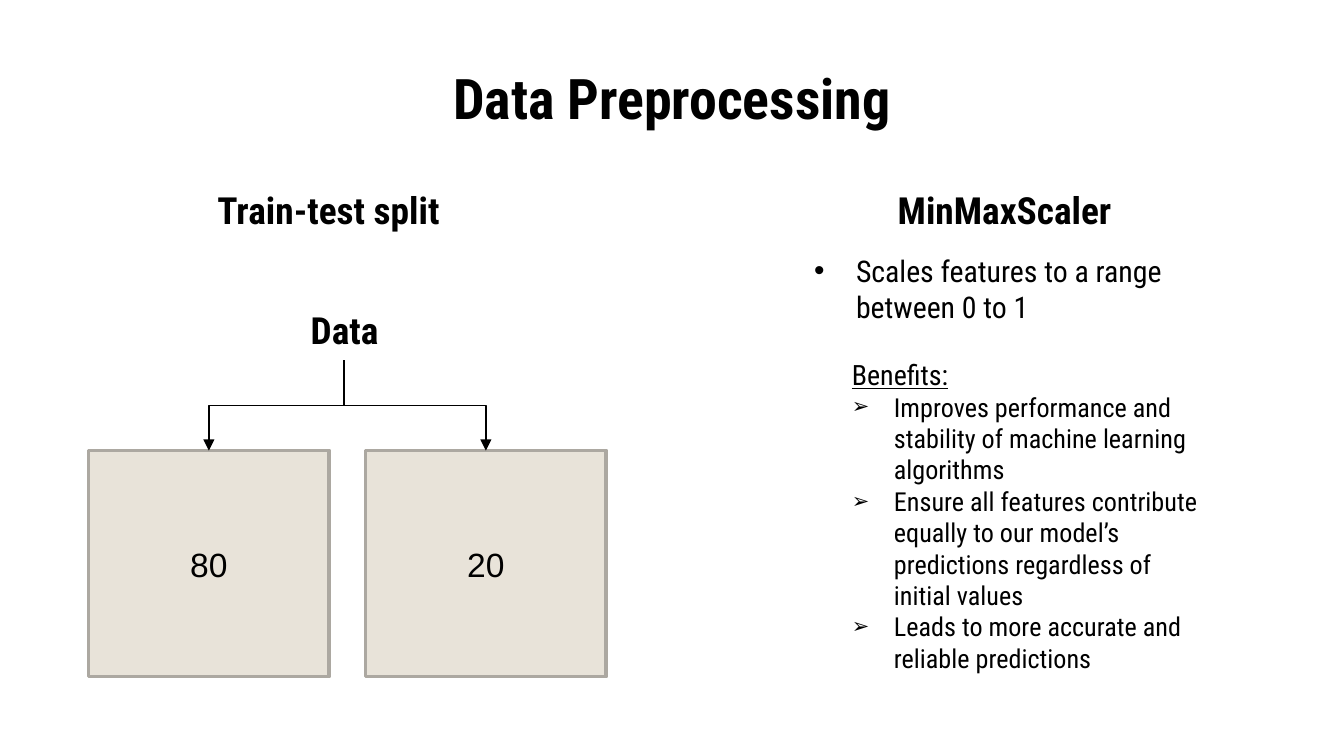
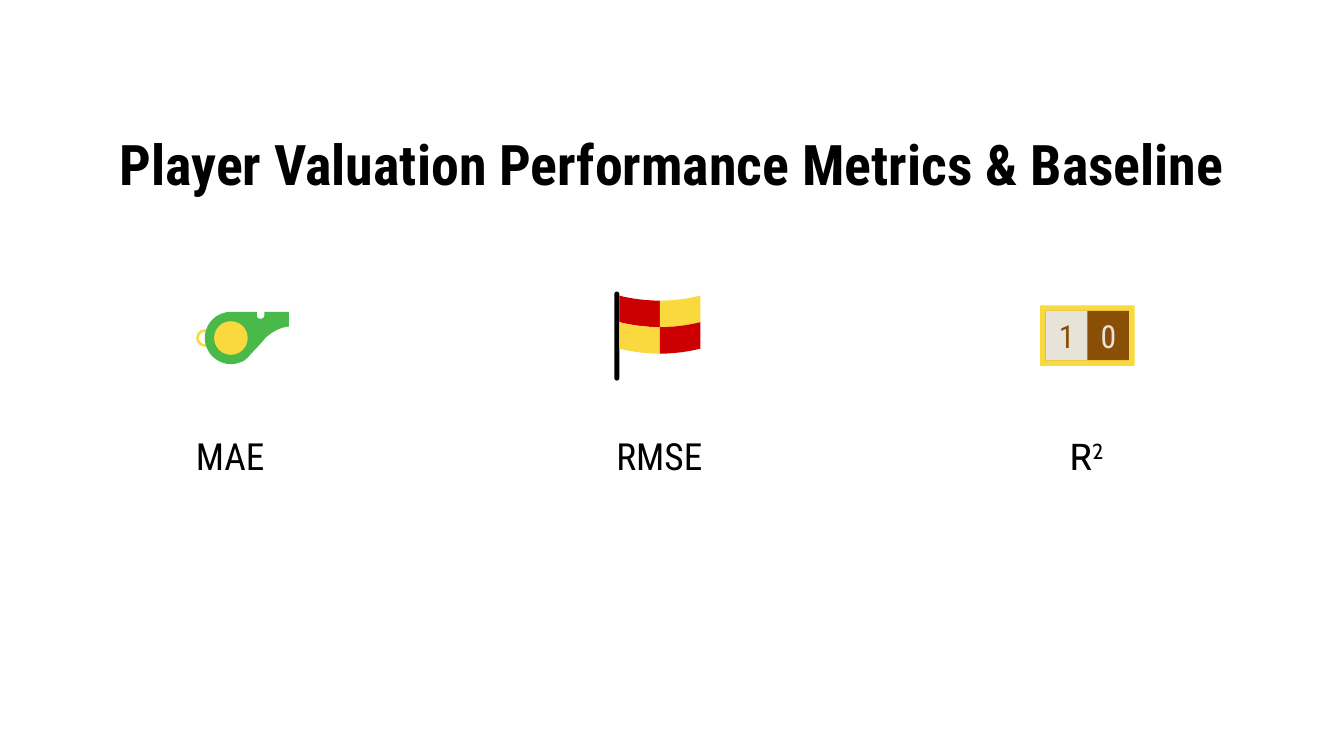
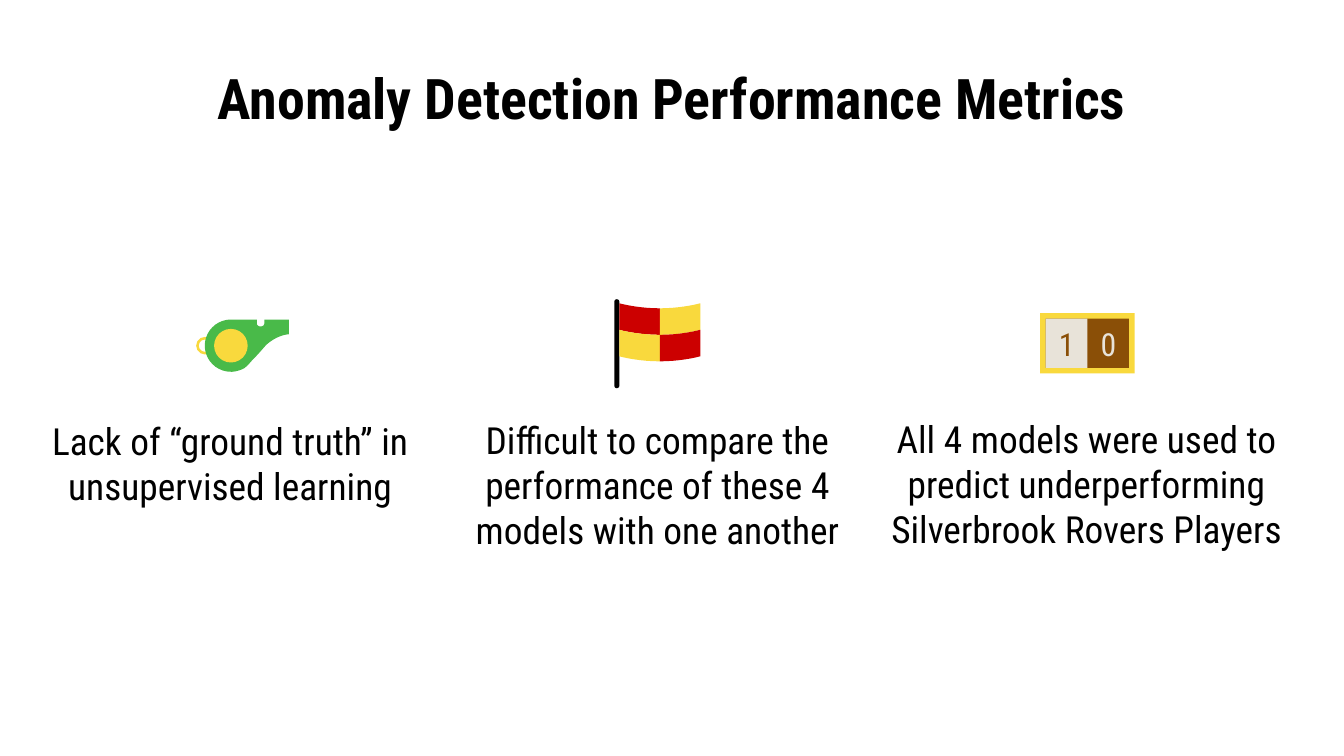
from lxml import etree
from pptx import Presentation
from pptx.dml.color import RGBColor
from pptx.enum.shapes import MSO_CONNECTOR, MSO_SHAPE
from pptx.enum.text import MSO_ANCHOR, PP_ALIGN
from pptx.oxml.ns import qn
from pptx.util import Pt

FONT = "Roboto Condensed"
BLACK, WHITE, RED, GREEN = "000000", "FFFFFF", "CC0000", "49BA49"
YELLOW, BROWN, CREAM, GREY = "F9D93D", "8A4F07", "E8E3D9", "ACA8A1"
INSET = 7.2
INDENT = 22.5

# Preprocessing slide
HEADINGS = [("Train-test split", 67, 96), ("MinMaxScaler", 429.2, 96),
            ("Data", 75.6, 160.5)]
HEADING_SIZE = (218, 32.4)
SPLIT = ["80", "20"]
SPLIT_LEFT, SPLIT_TOP, SPLIT_STEP = 47.4, 241.4, 148.4
SPLIT_SIZE = (129, 121)
FORK = (184.4, 193)
SCALING = [dict(text="Scales features to a range between 0 to 1", size=16, bullet="•")]
BENEFITS = [dict(text="Benefits:", size=15, underline=True)] + [
    dict(text=text, size=14, bullet="➢", bullet_pct=80) for text in (
        "Improves performance and stability of machine learning algorithms",
        "Ensure all features contribute equally to our model’s predictions "
        "regardless of initial values",
        "Leads to more accurate and reliable predictions")]

# Metric slides: title, title top, icon top, captions as (paragraph, left, top, height)
METRICS = [
    ("Player Valuation Performance Metrics & Baseline", 78, 156.2, [
        (dict(text="MAE"), 11, 227.7, 32.4),
        (dict(text="RMSE"), 241, 227.7, 32.4),
        (dict(text="R", font="Cabin", superscript="2"), 469.8, 227.7, 32.4)]),
    ("Anomaly Detection Performance Metrics", 42.5, 160.3, [
        (dict(text="Lack of “ground truth” in unsupervised learning"),
         11, 232, 32.4),
        (dict(text="Difficult to compare the performance of these 4 models "
                   "with one another"), 240, 222.6, 74),
        (dict(text="All 4 models were used to predict underperforming "
                   "Silverbrook Rovers Players"), 469.8, 222, 74)]),
]
CAPTION_WIDTH = 224.6

# Outline steps: (x, y) is a line, three pairs in one tuple are a Bézier curve
WHISTLE = [
    (123.7, 10.9),
    (116, 10.9, 109.7, 17.2, 109.7, 24.9),
    (109.7, 32.6, 116, 38.9, 123.7, 38.9),
    (126.2, 38.9, 128.8, 38.1, 131, 36.9),
    (131.8, 36.2, 133.2, 35.1, 134, 33.9),
    (136.1, 31.7, 138.2, 29.6, 142.6, 24.5),
    (149, 18.8, 154.8, 18.8, 154.8, 18.8),
    (154.8, 10.9), (141.6, 10.9), (141.6, 12.9),
    (141.6, 14, 140.7, 14.6, 139.6, 14.6),
    (138.5, 14.6, 137.6, 14, 137.6, 12.9),
    (137.6, 10.9),
]
FLAG_MIDDLE, FLAG_HALF = 353.5, 21.7
FLAG_TOP, FLAG_ROW, FLAG_SAG = 2.2, 14.2, 2.7
BOARD = (560.2, 10.4, 44.6, 26.4)
BOARD_FRAME = 3


def rgb(value):
    return RGBColor.from_string(value)


def add_bullet(p, char, pct):
    pPr = p._p.get_or_add_pPr()
    pPr.set("marL", str(Pt(INDENT)))
    pPr.set("indent", str(-Pt(INDENT)))
    clr = etree.SubElement(pPr, qn("a:buClr"))
    etree.SubElement(clr, qn("a:srgbClr")).set("val", BLACK)
    etree.SubElement(pPr, qn("a:buSzPct")).set("val", str(pct * 1000))
    etree.SubElement(pPr, qn("a:buFont")).set("typeface", "Arial")
    etree.SubElement(pPr, qn("a:buChar")).set("char", char)


def add_run(p, text, size, font, color, bold=False, underline=False):
    r = p.add_run()
    r.text = text
    r.font.size, r.font.name = Pt(size), font
    r.font.bold, r.font.underline = bold, underline
    r.font.color.rgb = rgb(color)
    return r


def fill_text(tf, paragraphs, align=PP_ALIGN.CENTER, anchor=MSO_ANCHOR.MIDDLE):
    tf.word_wrap = True
    tf.vertical_anchor = anchor
    tf.margin_left = tf.margin_right = tf.margin_top = tf.margin_bottom = Pt(INSET)
    for i, d in enumerate(paragraphs):
        p = tf.add_paragraph() if i else tf.paragraphs[0]
        p.alignment = align
        if "spacing" in d:
            p.line_spacing = d["spacing"]
        if "bullet" in d:
            add_bullet(p, d["bullet"], d.get("bullet_pct", 100))
        look = (d.get("size", 20), d.get("font", FONT), d.get("color", BLACK),
                d.get("bold", False), d.get("underline", False))
        add_run(p, d["text"], *look)
        if "superscript" in d:
            r = add_run(p, d["superscript"], *look)
            r.font._element.set("baseline", "30000")


def add_text(s, box, paragraphs, **layout):
    tb = s.shapes.add_textbox(*map(Pt, box))
    fill_text(tb.text_frame, paragraphs, **layout)


def paint(sp, fill, line=None):
    sp.shadow.inherit = False
    sp.fill.solid()
    sp.fill.fore_color.rgb = rgb(fill)
    if line:
        sp.line.color.rgb, sp.line.width = rgb(line), Pt(2)
    else:
        sp.line.fill.background()
    return sp


def add_shape(shapes, kind, box, fill, line=None):
    return paint(shapes.add_shape(kind, *map(Pt, box)), fill, line)


def trace(steps, samples=10):
    """Turn line and curve steps into a list of points."""
    points = [steps[0]]
    for step in steps[1:]:
        if len(step) == 2:
            points.append(step)
            continue
        nodes = [points[-1], step[:2], step[2:4], step[4:]]
        for k in range(1, samples + 1):
            t = k / samples
            weights = ((1 - t) ** 3, 3 * t * (1 - t) ** 2, 3 * t * t * (1 - t), t ** 3)
            points.append(tuple(sum(w * n[axis] for w, n in zip(weights, nodes))
                                for axis in (0, 1)))
    return points


def add_outline(shapes, steps, top, fill):
    points = [(Pt(x), Pt(top + y)) for x, y in trace(steps)]
    builder = shapes.build_freeform(*points[0])
    builder.add_line_segments(points[1:], close=True)
    paint(builder.convert_to_shape(), fill)


def add_title(s, text, top):
    add_text(s, (56, top, 608, 32.4), [dict(text=text, size=30, bold=True, spacing=0.5)],
             anchor=MSO_ANCHOR.TOP)


def add_fork_arm(s, start, end):
    """Elbow arrow that leaves downwards, so its frame is turned a quarter."""
    (x1, y1), (x2, y2) = start, end
    cx, cy = (x1 + x2) / 2, (y1 + y2) / 2
    half_w, half_h = (y2 - y1) / 2, abs(x2 - x1) / 2
    side = 1 if x2 > x1 else -1
    c = s.shapes.add_connector(
        MSO_CONNECTOR.ELBOW, Pt(cx + side * half_w), Pt(cy - half_h),
        Pt(cx - side * half_w), Pt(cy + half_h))
    c.line.color.rgb, c.line.width = rgb(BLACK), Pt(0.75)
    spPr = c._element.spPr
    spPr.find(qn("a:xfrm")).set("rot", str((270 if side > 0 else 90) * 60000))
    etree.SubElement(spPr.find(qn("a:ln")), qn("a:tailEnd")).set("type", "triangle")
    etree.SubElement(spPr, qn("a:effectLst"))


def add_whistle(s, top):
    g = s.shapes.add_group_shape().shapes
    ring = add_shape(g, MSO_SHAPE.DONUT, (105.1, top + 20.2, 9.4, 9.4), YELLOW)
    ring.adjustments[0] = 0.15
    add_outline(g, WHISTLE, top, GREEN)
    add_shape(g, MSO_SHAPE.OVAL, (114.7, top + 15.9, 18, 18), YELLOW)


def add_flag(s, top):
    g = s.shapes.add_group_shape().shapes
    pole = add_shape(g, MSO_SHAPE.ROUNDED_RECTANGLE, (329.1, top, 2.7, 47.7), BLACK)
    pole.adjustments[0] = 0.5
    for row in (0, 1):
        for col, side in enumerate((-1, 1)):
            edge, bend = FLAG_MIDDLE + side * FLAG_HALF, FLAG_MIDDLE + side * 12.3
            y = FLAG_TOP + row * FLAG_ROW
            low = y + FLAG_ROW
            patch = [(edge, y),
                     (edge, y, bend, y + FLAG_SAG, FLAG_MIDDLE, y + FLAG_SAG),
                     (FLAG_MIDDLE, low + FLAG_SAG),
                     (bend, low + FLAG_SAG, edge, low, edge, low)]
            add_outline(g, patch, top, RED if row == col else YELLOW)


def add_scoreboard(s, top):
    g = s.shapes.add_group_shape().shapes
    x, y, w, h = BOARD
    y += top
    f = BOARD_FRAME
    for box, fill in (((x - f, y - f, w + 2 * f, h + 2 * f), YELLOW),
                      ((x, y, w, h), BROWN), ((x, y, w / 2, h), CREAM)):
        add_shape(g, MSO_SHAPE.RECTANGLE, box, fill)
    for i, (digit, color) in enumerate((("1", BROWN), ("0", CREAM))):
        add_text(s, (x + i * w / 2, y + 3.8, w / 2, 19.4),
                 [dict(text=digit, size=17, color=color)])


def build_preprocessing(s):
    add_title(s, "Data Preprocessing", 42.5)
    for text, left, top in HEADINGS:
        add_text(s, (left, top, *HEADING_SIZE), [dict(text=text, bold=True)])
    for i, share in enumerate(SPLIT):
        left = SPLIT_LEFT + i * SPLIT_STEP
        sp = add_shape(s.shapes, MSO_SHAPE.RECTANGLE, (left, SPLIT_TOP, *SPLIT_SIZE),
                       CREAM, GREY)
        fill_text(sp.text_frame, [dict(text=share, size=18, font="Arial")])
        add_fork_arm(s, FORK, (left + SPLIT_SIZE[0] / 2, SPLIT_TOP))
    for box, paragraphs in (((429, 128.2, 248.4, 257), SCALING),
                            ((449.3, 184.3, 207.4, 114.5), BENEFITS)):
        add_text(s, box, paragraphs, align=PP_ALIGN.LEFT, anchor=MSO_ANCHOR.TOP)


def build_metrics(s, title, title_top, icon_top, captions):
    add_title(s, title, title_top)
    for add_icon in (add_whistle, add_flag, add_scoreboard):
        add_icon(s, icon_top)
    for paragraph, left, top, height in captions:
        add_text(s, (left, top, CAPTION_WIDTH, height), [paragraph])


def main():
    prs = Presentation()
    prs.slide_width, prs.slide_height = Pt(720), Pt(405)

    def new_slide():
        s = prs.slides.add_slide(prs.slide_layouts[6])
        s.background.fill.solid()
        s.background.fill.fore_color.rgb = rgb(WHITE)
        return s

    build_preprocessing(new_slide())
    for metrics in METRICS:
        build_metrics(new_slide(), *metrics)
    prs.save("out.pptx")


if __name__ == "__main__":
    main()
